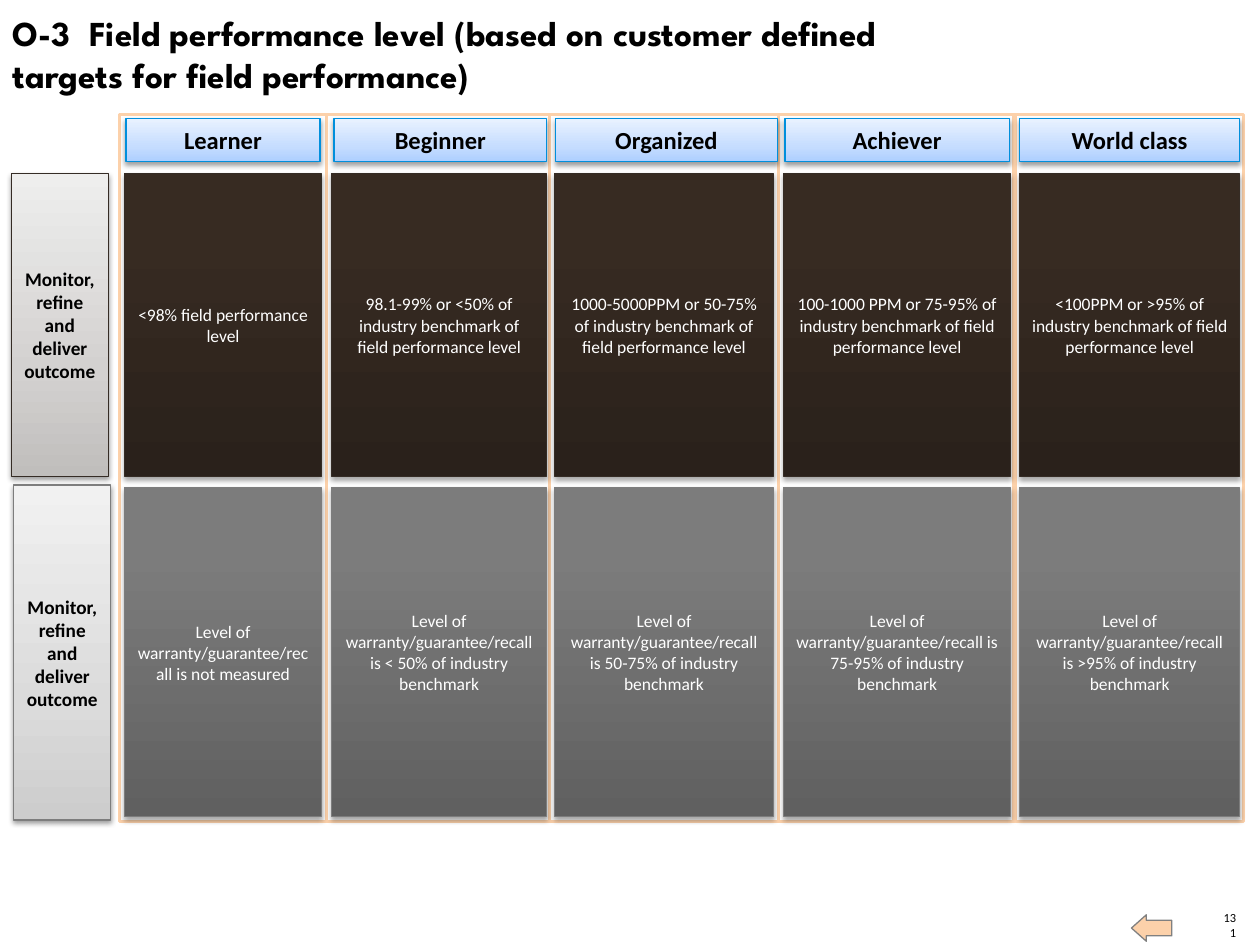
from copy import deepcopy
from dataclasses import dataclass

from lxml import etree
from pptx import Presentation
from pptx import util as u
from pptx.dml.color import RGBColor
from pptx.enum import shapes, text
from pptx.oxml.ns import qn

PX = 9144  # 100 px to the inch

BLACK = RGBColor(0x00, 0x00, 0x00)
WHITE = RGBColor(0xFF, 0xFF, 0xFF)
PEACH = RGBColor(0xFC, 0xD1, 0xAA)
ARROW_EDGE = RGBColor(0x80, 0x80, 0x80)
BLUE = RGBColor(0x00, 0x8F, 0xDC)
BROWN = RGBColor(0x35, 0x2C, 0x25)
GREY = RGBColor(0x7D, 0x7D, 0x7D)


@dataclass
class Style:
    """Look of one kind of box: gradient runs from bottom to top."""
    stops: list
    edge: RGBColor
    size: int
    color: RGBColor = BLACK
    bold: bool = True
    shadow_alpha: int = 38
    shadow_dist: float = 1.6


def gradient(*stops):
    return [(at, RGBColor.from_string(color)) for at, color in stops]


def body_style(stops, edge):
    return Style(stops, edge, 10, WHITE, False, 35, 1.8)


HEADER = Style(gradient((0, "AECFFF"), (0.35, "C6DDFF"), (1, "E9F2FF")), BLUE, 14)
BROWN_LABEL = Style(gradient((0, "C0BEBC"), (0.35, "D3D1D0"), (1, "EEEEED")), BROWN, 11)
GREY_LABEL = Style(gradient((0, "CDCDCD"), (0.35, "DBDBDB"), (1, "F1F1F1")), GREY, 11)
BROWN_CELL = body_style(gradient((0, "2A211B"), (0.8, "372B22"), (1, "372B22")), BROWN)
GREY_CELL = body_style(gradient((0, "606060"), (0.8, "7C7C7C"), (1, "7D7D7D")), GREY)

# Level name, then (left, width) of its panel, header and cells
LEVELS = [
    ("Learner", (95, 164), (100, 154), (99, 156)),
    ("Beginner", (259, 179), (265, 169), (263, 171)),
    ("Organized", (436, 182), (441, 176), (440, 174)),
    ("Achiever", (618, 187), (623, 178), (622, 180)),
    ("World class", (806, 181), (809, 175), (809, 175)),
]
ROW_LABEL = "Monitor, refine and deliver outcome"
FIELD_TARGETS = [
    "<98% field performance level",
    "98.1-99% or <50% of industry benchmark of field performance level",
    "1000-5000PPM or 50-75% of industry benchmark of field performance level",
    "100-1000 PPM or 75-95% of industry benchmark of field performance level",
    "<100PPM or >95% of industry benchmark of field performance level",
]
WARRANTY_TARGETS = [
    f"Level of warranty/guarantee/recall is {target}"
    for target in ("not measured", "< 50% of industry benchmark",
                   "50-75% of industry benchmark",
                   "75-95% of industry benchmark",
                   ">95% of industry benchmark")
]
# Label style, label place, cell style, cell (top, height), cell texts
ROWS = [
    (BROWN_LABEL, (9, 138, 77, 240), BROWN_CELL, (138, 240), FIELD_TARGETS),
    (GREY_LABEL, (11, 385, 77, 266), GREY_CELL, (387, 261), WARRANTY_TARGETS),
]


def scaled(place):
    return [length * PX for length in place]


def format_text(frame, size, color, align, bold=False, font="Calibri"):
    for paragraph in frame.paragraphs:
        paragraph.alignment = align
        for run in paragraph.runs:
            run.font.name = font
            run.font.size = u.Pt(size)
            run.font.bold = bold
            run.font.color.rgb = color


def add_plain(slide, kind, place, fill, edge, width):
    shape = slide.shapes.add_shape(kind, *scaled(place))
    shape.shadow.inherit = False
    shape.fill.solid()
    shape.fill.fore_color.rgb = fill
    shape.line.color.rgb = edge
    shape.line.width = u.Pt(width)
    return shape


def set_gradient(shape, stops):
    shape.fill.gradient()
    shape.fill.gradient_angle = 90
    stop_list = shape._element.spPr.find(".//" + qn("a:gsLst"))
    stop_list.append(deepcopy(stop_list[-1]))
    for stop, (position, color) in zip(shape.fill.gradient_stops, stops):
        stop.position = position
        stop.color.rgb = color


def set_shadow(shape, alpha, distance):
    shape.shadow.inherit = False
    effects = shape._element.spPr.find(qn("a:effectLst"))
    shadow = etree.SubElement(
        effects, qn("a:outerShdw"), blurRad=str(u.Pt(3.1)),
        dist=str(u.Pt(distance)), dir="5400000", rotWithShape="0")
    color = etree.SubElement(shadow, qn("a:srgbClr"), val=str(BLACK))
    etree.SubElement(color, qn("a:alpha"), val=str(alpha * 1000))


def add_box(slide, place, words, style):
    box = slide.shapes.add_shape(shapes.MSO_SHAPE.RECTANGLE, *scaled(place))
    set_gradient(box, style.stops)
    box.line.color.rgb = style.edge
    box.line.width = u.Pt(0.75)
    set_shadow(box, style.shadow_alpha, style.shadow_dist)
    frame = box.text_frame
    frame.word_wrap = True
    frame.vertical_anchor = text.MSO_ANCHOR.MIDDLE
    frame.text = words
    format_text(frame, style.size, style.color, text.PP_ALIGN.CENTER, style.bold)


def add_title(slide, words):
    title = slide.shapes.title
    title.left, title.top, title.width, title.height = scaled((0, 4, 730, 77))
    frame = title.text_frame
    frame.text = words
    frame.word_wrap = True
    frame.auto_size = text.MSO_AUTO_SIZE.NONE
    frame.vertical_anchor = text.MSO_ANCHOR.TOP
    format_text(frame, 20, BLACK, text.PP_ALIGN.LEFT, True, "League Spartan")


def add_footer(slide):
    back_arrow = add_plain(slide, shapes.MSO_SHAPE.RIGHT_ARROW,
                           (898, 726, 32, 21), PEACH, ARROW_EDGE, 0.75)
    back_arrow.rotation = 180
    back_arrow.adjustments[0] = 0.59
    back_arrow.adjustments[1] = 0.56

    page_number = slide.shapes.add_textbox(*scaled((969, 734, 12, 12)))
    frame = page_number.text_frame
    frame.margin_left = frame.margin_right = 0
    frame.margin_top = frame.margin_bottom = 0
    frame.word_wrap = True
    frame.vertical_anchor = text.MSO_ANCHOR.BOTTOM
    frame.text = "131"
    format_text(frame, 7.1, BLACK, text.PP_ALIGN.RIGHT)


def main():
    deck = Presentation()
    deck.slide_width, deck.slide_height = scaled((1000, 750))
    slide = deck.slides.add_slide(deck.slide_layouts[5])

    add_footer(slide)
    add_title(slide, "O-3  Field performance level "
                     "(based on customer defined targets for field performance)")

    # Column panels, then their headers
    for _, (left, width), _, _ in LEVELS:
        add_plain(slide, shapes.MSO_SHAPE.RECTANGLE,
                  (left, 91, width, 561), WHITE, PEACH, 2)
    for name, _, (left, width), _ in LEVELS:
        add_box(slide, (left, 94, width, 34), name, HEADER)

    # Rows of targets
    for label_style, label_place, cell_style, (top, height), targets in ROWS:
        add_box(slide, label_place, ROW_LABEL, label_style)
        for (_, _, _, (left, width)), target in zip(LEVELS, targets):
            add_box(slide, (left, top, width, height), target, cell_style)

    deck.save("out.pptx")


if __name__ == "__main__":
    main()
